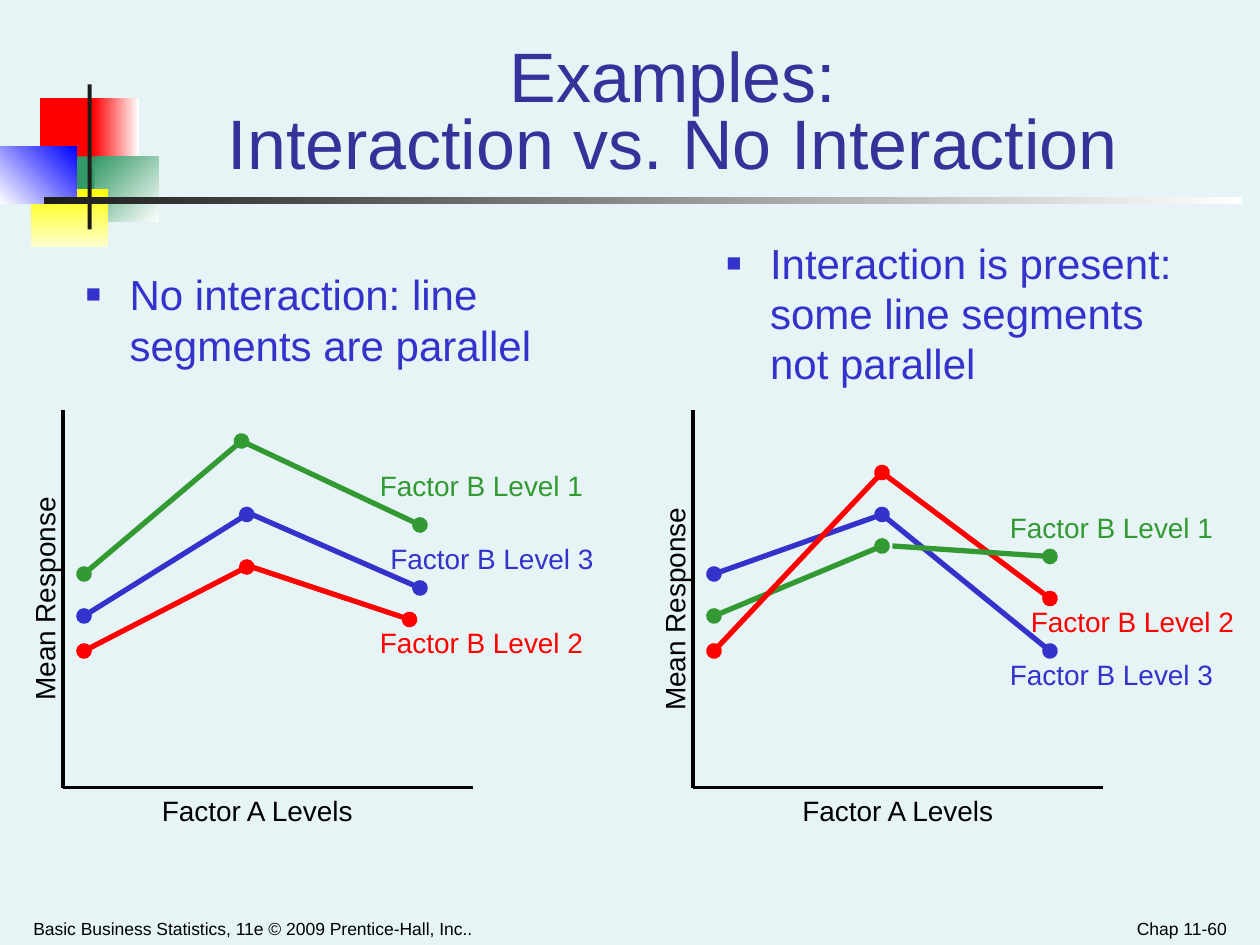
from lxml import etree
from pptx import Presentation
from pptx.dml.color import RGBColor
from pptx.enum import shapes, text
from pptx.oxml.ns import qn
from pptx.util import Pt

THEME = {
    "font": "Arial", "background": "E7F4F5", "title": "333399", "ink": "000000", "dark": "1C1C1C",
    "green": "339933", "blue": "3333CC", "red": "FF0000",
    "title_size": 40, "body_size": 24, "label_size": 16, "footer_size": 10,
    "series_width": 3, "axis_width": 2.25,
}
# (left, top, width, height), colours, gradient angle
ORNAMENTS = [
    ((23, 56, 35, 37.5), ["FF0000"], 0),
    ((53.3, 56, 26, 37.5), ["FF0000", "FFFFFF"], 0),
    ((54, 89.3, 36.7, 37.5), ["339966", "FFFFFF"], 315),
    ((31, 89.3, 23, 37.5), ["339966"], 0),
    ((18, 108, 44, 33), ["FFFF00", "FFFFCC"], 270),
    ((0, 83.5, 44, 33), ["FFFFFF", "0000FF"], 45),
    ((50, 48.2, 2.4, 83), [THEME["dark"]], 0),
    ((25.2, 112.5, 684.7, 4.3), [THEME["dark"], "FFFFFF"], 0),
]
TITLE = "Examples:\vInteraction vs. No Interaction"
FOOTERS = [
    ("Basic Business Statistics, 11e © 2009 Prentice-Hall, Inc..", (12, 515, 366, 25), "LEFT"),
    ("Chap 11-60", (540, 515, 168, 25), "RIGHT"),
]
FIRST_LEVEL, AXIS_TOP, AXIS_BOTTOM, AXIS_LENGTH = 12, 234, 450, 234
PANELS = [
    {
        "origin": 36,
        "claim": "No interaction: line segments are parallel", "claim_at": (42, 150),
        "segments": [
            ("green", (12, 328), (102, 252)), ("green", (102, 252), (204, 300)),
            ("blue", (12, 352), (105, 294)), ("blue", (108, 294), (204, 336)),
            ("red", (12, 372), (105, 324)), ("red", (108, 324), (198, 354)),
        ],
        "labels": [
            ("Factor B Level 1", "green", (174, 264)),
            ("Factor B Level 3", "blue", (180, 306)),
            ("Factor B Level 2", "red", (174, 354)),
        ],
        "levels_span": (42, 138), "response_top": 329,
    },
    {
        "origin": 396,
        "claim": "Interaction is present: some line segments not parallel", "claim_at": (408, 132),
        "segments": [
            ("blue", (12, 328), (108, 294)), ("red", (108, 270), (204, 342)),
            ("green", (12, 352), (108, 312)), ("blue", (108, 294), (204, 372)),
            ("red", (12, 372), (108, 270)), ("green", (114, 312), (204, 318)),
        ],
        "labels": [
            ("Factor B Level 1", "green", (174, 288)),
            ("Factor B Level 3", "blue", (174, 372)),
            ("Factor B Level 2", "red", (186, 342)),
        ],
        "levels_span": (36, 162), "response_top": 334.8,
    },
]


def rgb(name):
    return RGBColor.from_string(THEME.get(name, name))


def add_ornament(slide, box, colours, angle):
    ornament = slide.shapes.add_shape(shapes.MSO_SHAPE.RECTANGLE, *map(Pt, box))
    ornament.shadow.inherit = False
    ornament.line.fill.background()
    if len(colours) == 1:
        ornament.fill.solid()
        ornament.fill.fore_color.rgb = rgb(colours[0])
        return
    ornament.fill.gradient()
    ornament.fill.gradient_angle = angle
    for stop, colour in zip(ornament.fill.gradient_stops, colours):
        stop.color.rgb = rgb(colour)


def add_text(slide, wording, box, size, colour, align="LEFT", anchor="TOP", bullet=False, spacing=None):
    holder = slide.shapes.add_textbox(*map(Pt, box))
    frame = holder.text_frame
    frame.word_wrap = True
    frame.vertical_anchor = text.MSO_ANCHOR[anchor]
    paragraph = frame.paragraphs[0]
    paragraph.text = wording
    paragraph.alignment = text.PP_ALIGN[align]
    if spacing:
        paragraph.line_spacing = spacing
    if bullet:
        properties = paragraph._p.get_or_add_pPr()
        properties.set("marL", str(Pt(25)))
        properties.set("indent", str(-Pt(25)))
        tint = etree.SubElement(properties, qn("a:buClr"))
        etree.SubElement(tint, qn("a:srgbClr"), val=THEME[colour])
        etree.SubElement(properties, qn("a:buSzPct"), val="60000")
        etree.SubElement(properties, qn("a:buFont"), typeface=THEME["font"])
        etree.SubElement(properties, qn("a:buChar"), char="■")
    paragraph.font.name = THEME["font"]
    paragraph.font.size = Pt(THEME[size])
    paragraph.font.color.rgb = rgb(colour)
    return holder


def add_line(slide, start, end, colour, width, dots=()):
    line = slide.shapes.add_connector(shapes.MSO_CONNECTOR.STRAIGHT, *map(Pt, (*start, *end)))
    line.line.color.rgb = rgb(colour)
    line.line.width = Pt(THEME[width])
    etree.SubElement(line._element.spPr, qn("a:effectLst"))
    for dot in dots:
        etree.SubElement(line.line._get_or_add_ln(), qn(dot), type="oval")


def add_panel(slide, panel):
    origin = panel["origin"]
    add_text(slide, panel["claim"], (*panel["claim_at"], 288, 72), "body_size", "blue", bullet=True)
    for colour, (x1, y1), (x2, y2) in panel["segments"]:
        dots = ["a:headEnd", "a:tailEnd"] if x1 == FIRST_LEVEL else ["a:tailEnd"]
        add_line(slide, (origin + x1, y1), (origin + x2, y2), colour, "series_width", dots)
    corner = (origin, AXIS_BOTTOM)
    for end in [(origin, AXIS_TOP), (origin + AXIS_LENGTH, AXIS_BOTTOM)]:
        add_line(slide, corner, end, "ink", "axis_width")
    for wording, colour, (x, y) in panel["labels"]:
        add_text(slide, wording, (origin + x, y, 138, 26.6), "label_size", colour)
    left, width = panel["levels_span"]
    add_text(slide, "Factor A Levels", (origin + left, AXIS_BOTTOM, width, 26.6),
             "label_size", "ink", "CENTER")
    response = add_text(slide, "Mean Response", (origin - 88.6, panel["response_top"], 156.2, 26.6),
                        "label_size", "ink", "CENTER")
    response.rotation = 270


def main():
    """Build the slide comparing interaction with no interaction."""
    deck = Presentation()
    deck.slide_width, deck.slide_height = Pt(720), Pt(540)
    slide = deck.slides.add_slide(deck.slide_layouts[6])
    slide.background.fill.solid()
    slide.background.fill.fore_color.rgb = rgb("background")
    for ornament in ORNAMENTS:
        add_ornament(slide, *ornament)
    for wording, box, align in FOOTERS:
        add_text(slide, wording, box, "footer_size", "ink", align, "BOTTOM")
    add_text(slide, TITLE, (78, 30, 613, 78), "title_size", "title", "CENTER", "BOTTOM", spacing=0.8)
    for panel in PANELS:
        add_panel(slide, panel)
    deck.save("out.pptx")


if __name__ == "__main__":
    main()
